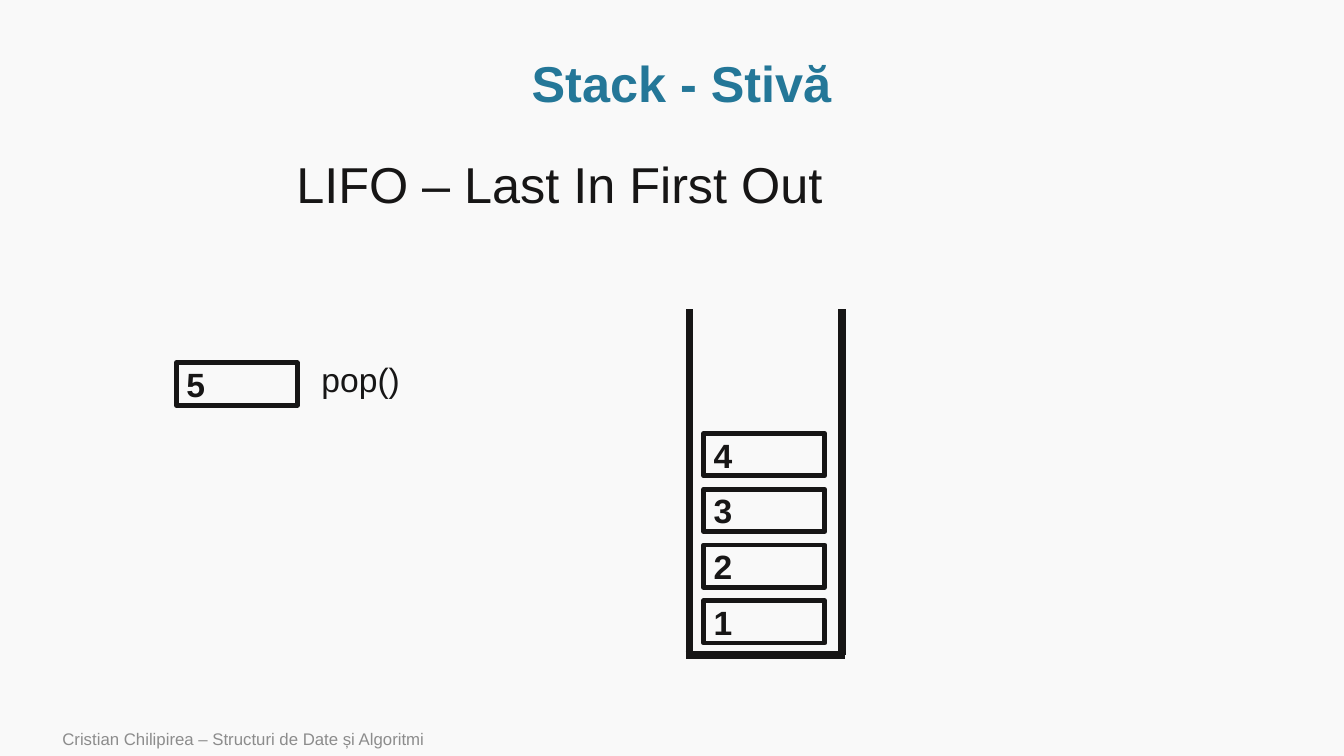
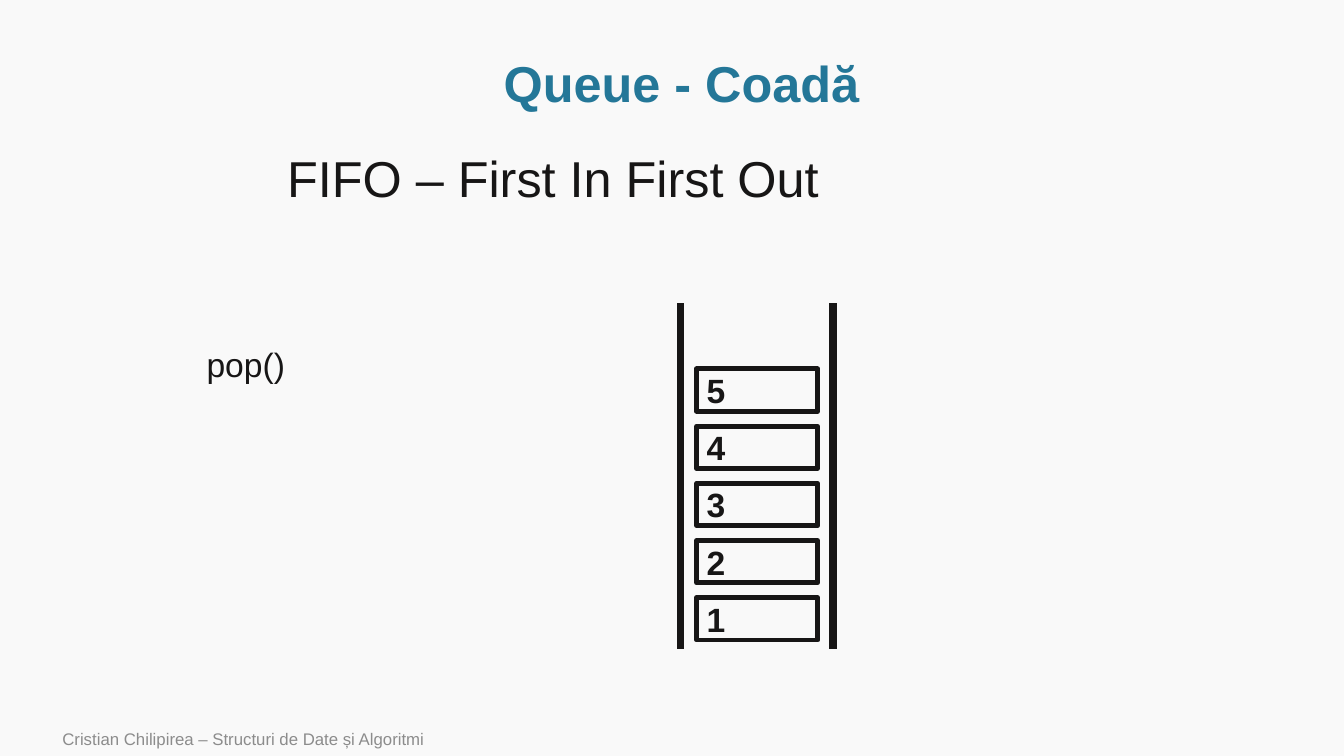
from dataclasses import dataclass

from lxml import etree
from pptx import Presentation
from pptx.dml.color import RGBColor
from pptx.enum.shapes import MSO_CONNECTOR, MSO_SHAPE
from pptx.enum.text import MSO_ANCHOR, MSO_AUTO_SIZE, PP_ALIGN
from pptx.oxml.ns import qn
from pptx.util import Pt

EMU_PER_PX = 9144
TITLE_ONLY = 5
STRAIGHT = MSO_CONNECTOR.STRAIGHT
RECTANGLE = MSO_SHAPE.RECTANGLE
MIDDLE, TOP = MSO_ANCHOR.MIDDLE, MSO_ANCHOR.TOP
LEFT, CENTER = PP_ALIGN.LEFT, PP_ALIGN.CENTER
NO_AUTOFIT = MSO_AUTO_SIZE.NONE


@dataclass(frozen=True)
class Theme:
    font: str = "Arial"
    paper: RGBColor = RGBColor(0xF9, 0xF9, 0xF9)
    ink: RGBColor = RGBColor(0x17, 0x16, 0x16)
    accent: RGBColor = RGBColor(0x24, 0x77, 0x98)
    muted: RGBColor = RGBColor(0x8C, 0x8C, 0x8C)
    heading_size: int = 36
    label_size: int = 24
    footer_size: int = 12
    rail_width: float = 5.5
    cell_border: float = 3.5


THEME = Theme()
PAGE_SIZE = (1333, 750)
TITLE_BOX = (101, 51, 1150, 69)
FOOTER_BOX = (52, 716, 840, 34)
FOOTER_TEXT = "Cristian Chilipirea – Structuri de Date și Algoritmi"
CELL_SIZE = (120, 42)
CONTAINER_SIZE = (151, 343)
LABEL_SIZE = (99, 50)


def px(*lengths):
    return [round(length * EMU_PER_PX) for length in lengths]


def write(shape, text, size, color=THEME.ink, bold=False, align=LEFT,
          anchor=TOP, wrap=True, line_spacing=None):
    frame = shape.text_frame
    frame.auto_size = NO_AUTOFIT
    frame.word_wrap = wrap
    frame.vertical_anchor = anchor
    frame.text = text
    para = frame.paragraphs[0]
    para.alignment = align
    para.line_spacing = line_spacing
    para.font.name = THEME.font
    para.font.size = Pt(size)
    para.font.bold = bold
    para.font.color.rgb = color


def add_text(page, box, text, size, **style):
    write(page.shapes.add_textbox(*px(*box)), text, size, **style)


def add_page(deck, title, subtitle, subtitle_box):
    page = deck.slides.add_slide(deck.slide_layouts[TITLE_ONLY])
    heading = page.shapes.title
    heading.left, heading.top, heading.width, heading.height = px(*TITLE_BOX)
    write(heading, title, THEME.heading_size, color=THEME.accent, bold=True,
          align=CENTER, anchor=MIDDLE, line_spacing=0.9)
    add_text(page, subtitle_box, subtitle, THEME.heading_size, line_spacing=0.9)
    add_text(page, FOOTER_BOX, FOOTER_TEXT, THEME.footer_size,
             color=THEME.muted, anchor=MIDDLE)
    return page


def add_rail(page, start, end):
    rail = page.shapes.add_connector(STRAIGHT, *px(*start, *end))
    rail.line.color.rgb = THEME.ink
    rail.line.width = Pt(THEME.rail_width)
    etree.SubElement(rail._element.spPr, qn("a:effectLst"))


def add_cell(page, left, top, number):
    cell = page.shapes.add_shape(RECTANGLE, *px(left, top, *CELL_SIZE))
    cell.shadow.inherit = False
    cell.fill.background()
    cell.line.color.rgb = THEME.ink
    cell.line.width = Pt(THEME.cell_border)
    write(cell, str(number), THEME.label_size, bold=True, anchor=MIDDLE)


def add_container(page, left, top, count, inset, first_cell, last_cell, closed=False):
    width, height = CONTAINER_SIZE
    right, bottom = left + width, top + height
    for x in (left, right):
        add_rail(page, (x, top), (x, bottom))
    if closed:
        add_rail(page, (left - 4, bottom), (right + 3, bottom))
    pitch = (last_cell - first_cell) / (count - 1)
    for index in range(count):
        add_cell(page, left + inset, top + last_cell - index * pitch, index + 1)


def add_pop_label(page, left, top):
    add_text(page, (left, top, *LABEL_SIZE), "pop()", THEME.label_size, wrap=False)


def add_stack_page(deck):
    page = add_page(deck, "Stack - Stivă", "LIFO – Last In First Out",
                    (284, 154, 608, 84))
    add_pop_label(page, 309, 351)
    add_container(page, 684, 307, count=4, inset=14, first_cell=123,
                  last_cell=289, closed=True)
    add_cell(page, 175, 360, 5)


def add_queue_page(deck):
    page = add_page(deck, "Queue - Coadă", "FIFO – First In First Out",
                    (275, 148, 608, 84))
    add_pop_label(page, 195, 336)
    add_container(page, 675, 301, count=5, inset=16, first_cell=65, last_cell=292)


def main():
    deck = Presentation()
    deck.slide_width, deck.slide_height = px(*PAGE_SIZE)
    background = deck.slide_master.background.fill
    background.solid()
    background.fore_color.rgb = THEME.paper
    add_stack_page(deck)
    add_queue_page(deck)
    deck.save("out.pptx")


if __name__ == "__main__":
    main()
